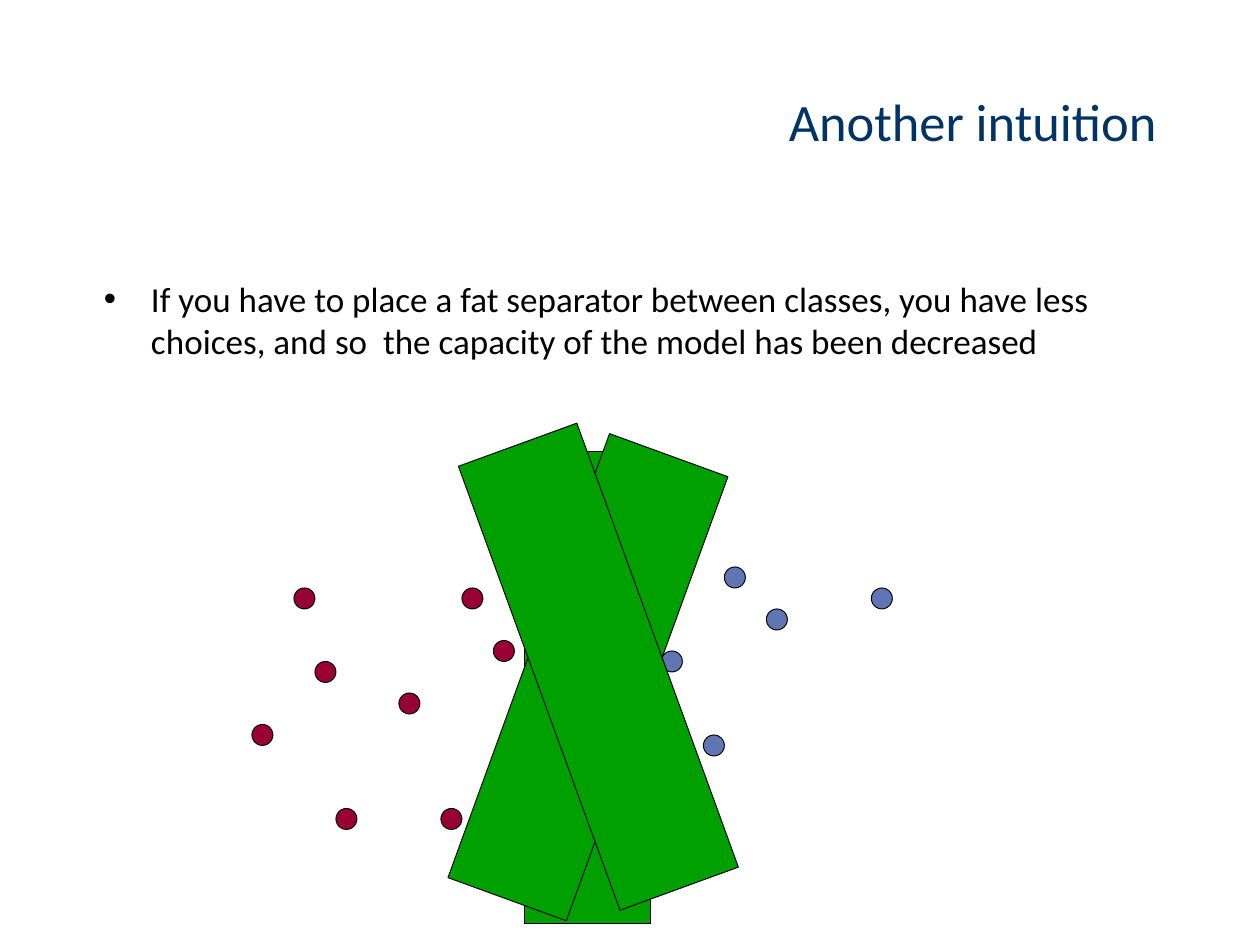
"""Build a slide on fat separators between two classes of points."""
from dataclasses import dataclass

from lxml.etree import SubElement
from pptx import Presentation
from pptx.dml.color import RGBColor as RGB
from pptx.enum.shapes import MSO_SHAPE as Geo
from pptx.enum.text import MSO_ANCHOR as Anchor, MSO_AUTO_SIZE as Fit, PP_ALIGN as Align
from pptx.oxml.ns import qn
from pptx.util import Cm, Pt

UNIT = 2.54 / 9
REDS = [(28, 56), (30, 63), (32, 77), (44, 56), (24, 69), (38, 66), (47, 61), (42, 77)]
BLUES = [(63, 62), (67, 70), (69, 54), (83, 56), (73, 58)]
BARS = [(50, 43, 0), (50, 42, 20), (51, 41, 340)]


@dataclass(frozen=True)
class Theme:
    """Colours and type sizes of the slide."""
    font: str = "Calibri"
    navy: str = "003366"
    black: str = "000000"
    red: str = "990033"
    blue: str = "6076B4"
    green: str = "00A000"
    head: float = 40
    body: float = 26.7
    line: float = 0.75


class Deck:
    """Draw styled elements on the current slide."""

    def __init__(self, prs, theme):
        """Open a title-only slide."""
        self.theme = theme
        self.slide = prs.slides.add_slide(prs.slide_layouts[5])

    def label(self, frame, text, size, color):
        """Fill a text frame with one run and return its paragraph."""
        frame.word_wrap = True
        frame.auto_size = Fit.NONE
        frame.vertical_anchor = Anchor.TOP
        para = frame.paragraphs[0]
        run = para.add_run()
        run.text = text
        run.font.name = self.theme.font
        run.font.size = Pt(size)
        run.font.color.rgb = RGB.from_string(color)
        return para

    def title(self, text, left, top, width, height):
        """Place and fill the title."""
        box = self.slide.shapes.title
        box.left, box.top, box.width, box.height = map(Cm, (left, top, width, height))
        para = self.label(box.text_frame, text, self.theme.head, self.theme.navy)
        para.alignment = Align.RIGHT

    def bullet(self, text, left, top, width, height):
        """Add a text box with one bulleted paragraph."""
        box = self.slide.shapes.add_textbox(*map(Cm, (left, top, width, height)))
        para = self.label(box.text_frame, text, self.theme.body, self.theme.black)
        props = para._p.get_or_add_pPr()
        props.set("marL", str(Cm(1.27)))
        props.set("indent", str(Cm(-1.27)))
        SubElement(props, qn("a:buFont"), typeface="Arial")
        SubElement(props, qn("a:buChar"), char="•")

    def shape(self, kind, col, row, width, height, color, turn=0):
        """Add an outlined shape, measured in grid units."""
        spot = [Cm(n * UNIT) for n in (col, row, width, height)]
        item = self.slide.shapes.add_shape(kind, *spot)
        item.shadow.inherit = False
        item.rotation = turn
        item.fill.solid()
        item.fill.fore_color.rgb = RGB.from_string(color)
        item.line.color.rgb = RGB.from_string(self.theme.black)
        item.line.width = Pt(self.theme.line)

    def dot(self, col, row, color):
        """Add a data point."""
        self.shape(Geo.OVAL, col, row, 2, 2, color)

    def bar(self, col, row, turn):
        """Add a fat separator."""
        self.shape(Geo.RECTANGLE, col, row, 12, 45, self.theme.green, turn)


def main():
    """Build and save the slide."""
    prs = Presentation()
    prs.slide_width, prs.slide_height = Cm(33.87), Cm(25.4)
    theme = Theme()
    deck = Deck(prs, theme)
    deck.title("Another intuition", 5.74, 2.26, 25.6, 4.24)
    deck.bullet(
        "If you have to place a fat separator between classes, you have less "
        "choices, and so  the capacity of the model has been decreased",
        2.54, 7.34, 28.78, 15.24)
    for spots, color in ((REDS, theme.red), (BLUES, theme.blue)):
        for col, row in spots:
            deck.dot(col, row, color)
    for col, row, turn in BARS:
        deck.bar(col, row, turn)
    prs.save("out.pptx")


if __name__ == "__main__":
    main()
